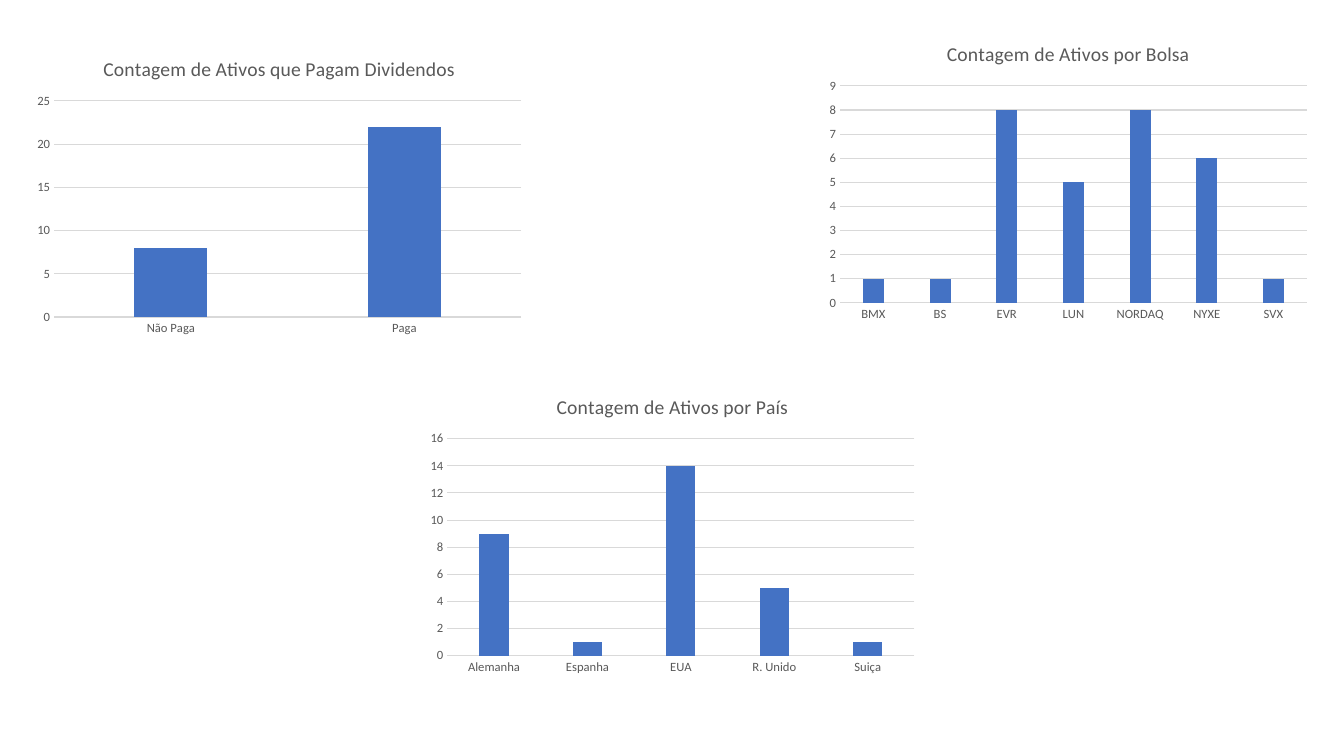
from pptx import Presentation
from pptx.chart.data import CategoryChartData
from pptx.dml.color import RGBColor
from pptx.enum.chart import XL_CHART_TYPE, XL_TICK_MARK
from pptx.util import Inches, Pt

COLUMNS = XL_CHART_TYPE.COLUMN_CLUSTERED
NO_TICK = XL_TICK_MARK.NONE
BLANK_LAYOUT = 6
COLORS = {"bar": "4472C4", "text": "595959", "line": "D9D9D9", "base": "000000"}

# title, (left, top, width, height), axis maximum, axis step, counts
CHARTS = [
    ("Contagem de Ativos por Bolsa", (8.13, 0.25, 4.93, 3), 9, 1,
     {"BMX": 1, "BS": 1, "EVR": 8, "LUN": 5, "NORDAQ": 8, "NYXE": 6, "SVX": 1}),
    ("Contagem de Ativos que Pagam Dividendos", (0.27, 0.4, 5, 2.99), 25, 5,
     {"Não Paga": 8, "Paga": 22}),
    ("Contagem de Ativos por País", (4.17, 3.75, 5, 3), 16, 2,
     {"Alemanha": 9, "Espanha": 1, "EUA": 14, "R. Unido": 5, "Suiça": 1}),
]


class ChartPage:
    """Holds the chart style and the slide being filled."""

    font_name = "Calibri"

    def __init__(self, deck):
        self.page = deck.slides.add_slide(deck.slide_layouts[BLANK_LAYOUT])

    def color(self, name):
        return RGBColor.from_string(COLORS[name])

    def style_font(self, font, size, color):
        font.name = self.font_name
        font.size = Pt(size)
        font.bold = False
        font.color.rgb = self.color(color)

    def style_line(self, line):
        line.color.rgb = self.color("line")
        line.width = Pt(0.75)

    def add_title(self, chart, text):
        para = chart.chart_title.text_frame.paragraphs[0]
        span = para.add_run()
        span.text = text
        self.style_font(span.font, 14, "text")
        chart.chart_title.include_in_layout = False

    def style_axes(self, chart, maximum, step):
        categories, values = chart.category_axis, chart.value_axis
        for axis in (categories, values):
            axis.major_tick_mark = axis.minor_tick_mark = NO_TICK
            self.style_font(axis.tick_labels.font, 9, "text")
        self.style_line(categories.format.line)
        values.format.line.fill.background()
        values.minimum_scale = 0
        values.maximum_scale = maximum
        values.major_unit = step
        values.has_major_gridlines = True
        self.style_line(values.major_gridlines.format.line)

    def add_column_chart(self, title, box, maximum, step, counts):
        data = CategoryChartData()
        data.categories = list(counts)
        data.add_series("Contagem", list(counts.values()))
        frame = self.page.shapes.add_chart(COLUMNS, *map(Inches, box), data)
        chart = frame.chart
        chart.has_legend = False
        self.style_font(chart.font, 10, "base")
        self.add_title(chart, title)
        self.style_axes(chart, maximum, step)
        plot = chart.plots[0]
        plot.gap_width = 219
        plot.overlap = -27
        plot.vary_by_categories = False
        fill = plot.series[0].format.fill
        fill.solid()
        fill.fore_color.rgb = self.color("bar")


def main():
    deck = Presentation()
    deck.slide_width = Inches(13.33)
    deck.slide_height = Inches(7.5)
    chart_page = ChartPage(deck)
    for chart in CHARTS:
        chart_page.add_column_chart(*chart)
    deck.save("out.pptx")


if __name__ == "__main__":
    main()
